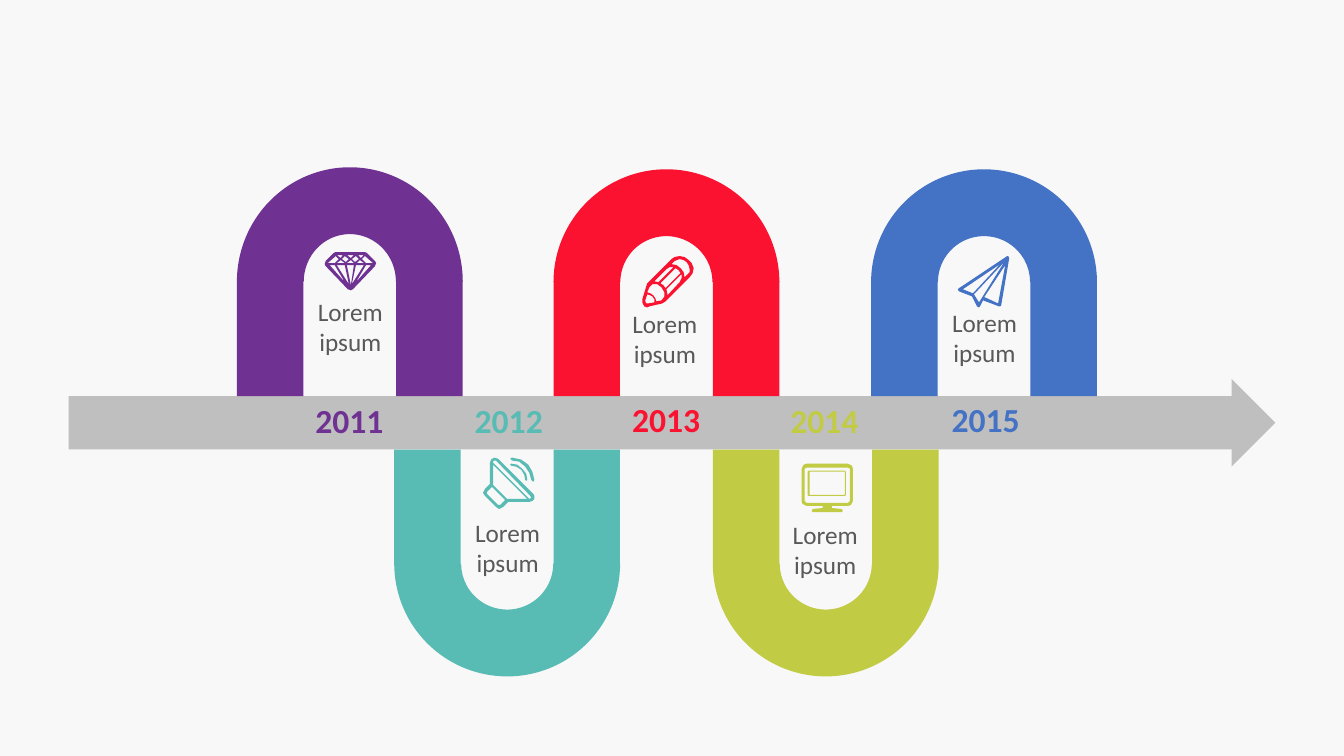
from dataclasses import dataclass

from pptx import Presentation
from pptx.dml.color import RGBColor
from pptx.enum.shapes import MSO_SHAPE
from pptx.enum.text import MSO_AUTO_SIZE, PP_ALIGN
from pptx.shapes.autoshape import Shape
from pptx.util import Inches, Pt

RECT = MSO_SHAPE.RECTANGLE
ARC = MSO_SHAPE.BLOCK_ARC
ARROW = MSO_SHAPE.RIGHT_ARROW
GROW = MSO_AUTO_SIZE.SHAPE_TO_FIT_TEXT
CENTER = PP_ALIGN.CENTER

PAPER = RGBColor(0xF8, 0xF8, 0xF8)
GRAY = RGBColor(0xBF, 0xBF, 0xBF)
DARK = RGBColor(0x59, 0x59, 0x59)
PURPLE = RGBColor(0x6F, 0x32, 0x93)
TEAL = RGBColor(0x58, 0xBB, 0xB4)
RED = RGBColor(0xFA, 0x12, 0x30)
LIME = RGBColor(0xC2, 0xCB, 0x44)
BLUE = RGBColor(0x44, 0x72, 0xC4)

FONT = "Calibri"
SPAN = 2.24
LEG = 0.66
UNIT = Inches(0.01)

Ring = list[tuple[int, int]]


@dataclass
class Icon:
    left: float
    top: float
    rings: list[Ring]


@dataclass
class Stage:
    year: str
    color: RGBColor
    left: float
    top: float
    year_at: tuple[float, float]
    note_at: tuple[float, float]
    icons: list[Icon]
    tall: float = SPAN
    down: bool = False


GEM = Icon(3.22, 2.5, [
    [(0, 12), (1, 9), (9, 1), (11, 0), (40, 0), (42, 1), (50, 9), (51, 11),
     (50, 14), (28, 37), (26, 38), (23, 37), (1, 14)],
    [(11, 4), (14, 7), (10, 11), (3, 11)],
    [(41, 11), (37, 7), (40, 4), (48, 11)],
    [(41, 13), (46, 13), (31, 30)],
    [(20, 30), (5, 13), (10, 13)],
    [(20, 13), (24, 32), (12, 13)],
    [(16, 8), (20, 11), (12, 11)],
    [(16, 6), (12, 3), (18, 3)],
    [(26, 6), (22, 3), (29, 3)],
    [(33, 3), (39, 3), (36, 6)],
    [(32, 11), (35, 8), (39, 11)],
    [(31, 13), (39, 13), (27, 32)],
    [(29, 13), (26, 33), (22, 13)],
    [(21, 10), (17, 7), (20, 4), (24, 7)],
    [(27, 7), (31, 4), (34, 7), (30, 10)],
    [(29, 11), (22, 11), (26, 8)],
])
PENCIL = Icon(6.37, 2.54, [
    [(46, 4), (42, 1), (37, 0), (32, 1), (29, 3), (22, 10), (5, 27), (4, 30),
     (0, 43), (0, 46), (2, 50), (5, 51), (7, 50), (20, 47), (23, 45),
     (47, 21), (50, 17), (51, 12), (49, 7)],
    [(45, 18), (42, 21), (41, 16), (38, 12), (34, 9), (29, 8), (32, 5),
     (37, 3), (41, 4), (44, 6), (46, 9), (47, 13), (47, 16)],
    [(14, 45), (13, 42), (11, 39), (8, 37), (5, 36), (7, 31), (10, 28),
     (15, 28), (19, 31), (22, 36), (22, 40), (20, 43), (19, 44)],
    [(6, 47), (4, 47), (3, 45), (3, 44), (5, 38), (8, 39), (10, 40),
     (12, 43), (12, 46)],
    [(16, 26), (12, 25), (24, 13), (27, 11), (31, 11)],
    [(23, 32), (21, 29), (18, 27), (33, 12), (36, 14), (38, 17)],
    [(25, 38), (24, 33), (39, 18), (39, 22), (37, 26), (25, 39)],
])
PLANE = Icon(9.5, 2.54, [
    [(50, 0), (49, 0), (1, 32), (0, 33), (1, 35), (14, 40), (19, 50),
     (21, 51), (22, 50), (25, 44), (41, 50), (42, 50), (43, 49), (51, 2)],
    [(40, 47), (27, 41), (26, 41), (47, 9)],
    [(16, 38), (46, 6), (21, 46)],
    [(5, 33), (42, 8), (15, 37)],
])
SCREEN = Icon(8.01, 4.67, [
    [(0, 1), (1, 0), (37, 0), (38, 1), (38, 24), (37, 25), (1, 25), (0, 24)],
    [(2, 1), (37, 1), (37, 24), (2, 24)],
])
CASE = Icon(7.95, 4.6, [
    [(46, 0), (5, 0), (2, 1), (0, 5), (0, 37), (1, 40), (5, 42), (21, 42),
     (21, 44), (11, 45), (10, 47), (11, 48), (40, 48), (41, 47), (40, 45),
     (30, 44), (30, 42), (46, 42), (49, 41), (51, 37), (51, 5), (50, 2)],
    [(3, 5), (5, 4), (46, 4), (48, 5), (48, 37), (46, 39), (5, 39), (3, 37)],
])
DISH = Icon(4.79, 4.54, [
    [(15, 1), (11, 0), (8, 2), (7, 5), (7, 26), (2, 31), (0, 35), (2, 38),
     (13, 49), (16, 51), (20, 49), (25, 44), (46, 44), (49, 43), (51, 41),
     (51, 38), (50, 36)],
    [(48, 40), (46, 41), (10, 5), (10, 4), (11, 3), (13, 3), (47, 38)],
    [(25, 41), (24, 41), (10, 27), (10, 7), (44, 41)],
    [(22, 42), (17, 47), (15, 47), (4, 36), (4, 34), (9, 29)],
])
NEAR = Icon(5.06, 4.6, [
    [(1, 0), (7, 1), (12, 5), (16, 10), (17, 16), (16, 17), (15, 16),
     (14, 11), (11, 6), (6, 3), (1, 2), (0, 1)],
])
FAR = Icon(5.06, 4.54, [
    [(2, 0), (11, 2), (18, 7), (22, 14), (24, 22), (23, 24), (21, 22),
     (19, 15), (15, 9), (9, 4), (2, 3), (0, 1)],
])

STAGES = [
    Stage("2011", PURPLE, 2.35, 1.66, (3.03, 3.92), (3.01, 2.89), [GEM], tall=2.27),
    Stage("2012", TEAL, 3.91, 4.47, (4.61, 3.92), (4.57, 5.08),
          [NEAR, DISH, FAR], down=True),
    Stage("2013", RED, 5.49, 1.68, (6.17, 3.91), (6.13, 3.01), [PENCIL]),
    Stage("2014", LIME, 7.07, 4.47, (7.74, 3.92), (7.72, 5.1),
          [SCREEN, CASE], down=True),
    Stage("2015", BLUE, 8.64, 1.68, (9.34, 3.91), (9.3, 3), [PLANE]),
]


def paint(shape: Shape, color: RGBColor) -> None:
    shape.shadow.inherit = False
    shape.fill.solid()
    shape.fill.fore_color.rgb = color
    shape.line.fill.background()


def block(shapes, kind, left: float, top: float, width: float, height: float,
          color: RGBColor) -> Shape:
    shape = shapes.add_shape(kind, Inches(left), Inches(top), Inches(width), Inches(height))
    paint(shape, color)
    return shape


def arch(shapes, stage: Stage) -> None:
    arc = block(shapes, ARC, stage.left, stage.top, SPAN, stage.tall, stage.color)
    arc.rotation = 181 if stage.down else 1
    for index, value in enumerate((107.451, 215.36, 0.296)):
        arc.adjustments[index] = value
    for left in (stage.left, stage.left + SPAN - LEG):
        block(shapes, RECT, left, 4.46 if stage.down else 2.79, LEG, 1.14, stage.color)


def label(shapes, text: str, place: tuple[float, float], width: float, height: float,
          size: int, color: RGBColor, wrap: bool) -> None:
    left, top = place
    box = shapes.add_textbox(Inches(left), Inches(top), Inches(width), Inches(height))
    frame = box.text_frame
    frame.word_wrap = wrap
    frame.auto_size = GROW
    para = frame.paragraphs[0]
    para.text = text
    para.font.name = FONT
    para.font.size = Pt(size)
    para.font.color.rgb = color
    if wrap:
        para.alignment = CENTER
    else:
        para.font.bold = True


def draw(shapes, icon: Icon, color: RGBColor) -> None:
    first, *holes = icon.rings
    pen = shapes.build_freeform(*first[0], scale=UNIT)
    pen.add_line_segments(first[1:], close=True)
    for ring in holes:
        pen.move_to(*ring[0])
        pen.add_line_segments(ring[1:], close=True)
    paint(pen.convert_to_shape(Inches(icon.left), Inches(icon.top)), color)


def main() -> None:
    deck = Presentation()
    deck.slide_width = Inches(13.33)
    deck.slide_height = Inches(7.5)
    slide = deck.slides.add_slide(deck.slide_layouts[6])
    slide.background.fill.solid()
    slide.background.fill.fore_color.rgb = PAPER
    shapes = slide.shapes
    block(shapes, RECT, 0.68, 3.93, 11.58, 0.53, GRAY)
    block(shapes, ARROW, 11.55, 3.76, 1.1, 0.87, GRAY)
    for stage in STAGES:
        arch(shapes, stage)
    for stage in STAGES:
        label(shapes, stage.year, stage.year_at, 0.88, 0.5, 24, stage.color, False)
        for icon in stage.icons:
            draw(shapes, icon, stage.color)
        label(shapes, "Lorem ipsum", stage.note_at, 0.93, 0.71, 18, DARK, True)
    deck.save("out.pptx")


if __name__ == "__main__":
    main()
